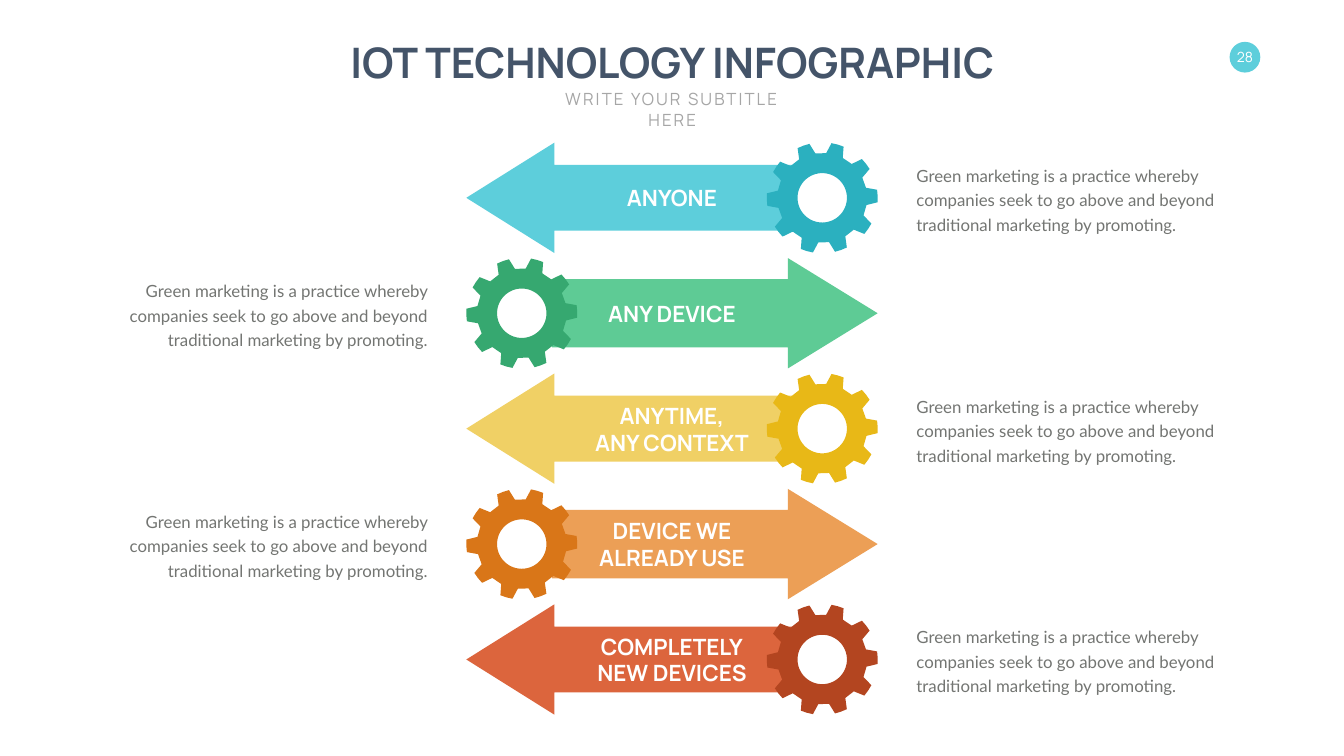
from math import cos, radians, sin

from pptx import Presentation
from pptx.dml.color import RGBColor
from pptx.enum.shapes import MSO_SHAPE as Shape
from pptx.enum.text import MSO_ANCHOR as Anchor, PP_ALIGN as Align
from pptx.util import Emu, Pt

PX = 9144  # EMU in one px, 100 px to the inch
SLIDE_W, SLIDE_H = 2666, 1500

# Rows of arrows
ROWS_LEFT, ROWS_TOP, ROW_PITCH = 925, 283, 229
ROW_W, ROW_H = 816, 219
ARROW_W = 646
NOTE_W, NOTE_H, NOTE_GAP = 639, 152, 67

# Gear profile
TEETH, OUTER_R, ROOT_R, HOLE_R = 10, 110, 89, 49
TOOTH_HALF, ROOT_HALF, GEAR_TURN = 6.5, 11.1, -1.85

NOTE = ("Green marketing is a practice whereby companies seek to go above "
        "and beyond traditional marketing by promoting.")
# Label lines, arrow colour, gear colour
ROWS = [
    ("ANYONE", "5DCEDB", "2BB0BF"),
    ("ANY DEVICE", "5ECB95", "36A870"),
    ("ANYTIME,\nANY CONTEXT", "F0D065", "E8B817"),
    ("DEVICE WE\nALREADY USE", "EC9F56", "D97618"),
    ("COMPLETELY\nNEW DEVICES", "DC653D", "B34520"),
]


def px(length):
    return Emu(round(length * PX))


def colour(hex_code):
    return RGBColor.from_string(hex_code)


def paint(shape, hex_code):
    shape.shadow.inherit = False
    shape.fill.solid()
    shape.fill.fore_color.rgb = colour(hex_code)
    shape.line.fill.background()


def add_preset(slide, kind, box, hex_code):
    preset = slide.shapes.add_shape(kind, *map(px, box))
    paint(preset, hex_code)
    return preset


def add_text(slide, box, text, size, hex_code, font="Manrope", bold=False,
             align=Align.CENTER, anchor=Anchor.MIDDLE, wrap=False):
    frame = slide.shapes.add_textbox(*map(px, box)).text_frame
    frame.word_wrap = wrap
    frame.vertical_anchor = anchor
    frame.text = text
    for paragraph in frame.paragraphs:
        paragraph.alignment = align
        for run in paragraph.runs:
            run.font.name = font
            run.font.size = Pt(size)
            run.font.bold = bold
            run.font.color.rgb = colour(hex_code)
    return frame


def add_gear(slide, centre_x, centre_y, hex_code):
    def point(radius, angle):
        turn = radians(angle)
        return (px(centre_x + radius * cos(turn)),
                px(centre_y + radius * sin(turn)))

    tooth = [(ROOT_R, -ROOT_HALF), (OUTER_R, -TOOTH_HALF), (OUTER_R, 0),
             (OUTER_R, TOOTH_HALF), (ROOT_R, ROOT_HALF)]
    rim = [point(radius, GEAR_TURN + index * 360 / TEETH + offset)
           for index in range(TEETH) for radius, offset in tooth]
    hole = [point(HOLE_R, -angle) for angle in range(0, 360, 5)]

    builder = slide.shapes.build_freeform(*rim[0], scale=1.0)
    builder.add_line_segments(rim[1:], close=True)
    builder.move_to(*hole[0])
    builder.add_line_segments(hole[1:], close=True)
    paint(builder.convert_to_shape(), hex_code)


def add_header(slide, left, top, width):
    add_text(slide, (left, top, width, 111), "IOT TECHNOLOGY INFOGRAPHIC",
             60, "445469", bold=True, anchor=Anchor.TOP)
    subtitle_w = 543
    subtitle = add_text(
        slide, (left + (width - subtitle_w) / 2, top + 105, subtitle_w, 50),
        "WRITE YOUR SUBTITLE HERE", 24, "A6A6A6", anchor=Anchor.TOP, wrap=True)
    # Letter spacing in hundredths of a point
    subtitle.paragraphs[0].runs[0].font._element.set("spc", "300")


def add_page_number(slide, left, top, size):
    box = (left, top, size, size)
    add_preset(slide, Shape.OVAL, box, "5DCEDB")
    add_text(slide, box, "28", 20, "FFFFFF")


def add_row(slide, left, top, label, arrow_colour, gear_colour, points_left):
    middle = top + ROW_H / 2
    # Arrow, with the gear on its tail and the note beyond the gear
    if points_left:
        kind, adjustments = Shape.LEFT_ARROW, (0.596, 0.798)
        arrow_left = left
        gear_x = left + ROW_W - OUTER_R
        note_left, note_align = left + ROW_W + NOTE_GAP, Align.LEFT
    else:
        kind, adjustments = Shape.RIGHT_ARROW, (0.62, 0.813)
        arrow_left = left + ROW_W - ARROW_W
        gear_x = left + OUTER_R
        note_left, note_align = left - NOTE_GAP - NOTE_W, Align.RIGHT
    arrow = add_preset(slide, kind, (arrow_left, top, ARROW_W, ROW_H),
                       arrow_colour)
    for index, value in enumerate(adjustments):
        arrow.adjustments[index] = value
    add_gear(slide, gear_x, middle, gear_colour)

    # Label and note
    label_w, label_h = 340, 118
    add_text(slide, (left + (ROW_W - label_w) / 2, middle - label_h / 2,
                     label_w, label_h), label, 32, "FFFFFF", bold=True)
    note = add_text(slide, (note_left, middle - NOTE_H / 2, NOTE_W, NOTE_H),
                    NOTE, 24, "737572", font="Lato", align=note_align,
                    wrap=True)
    note.paragraphs[0].line_spacing = Pt(35)


def main():
    deck = Presentation()
    deck.slide_width, deck.slide_height = px(SLIDE_W), px(SLIDE_H)
    slide = deck.slides.add_slide(deck.slide_layouts[6])

    add_page_number(slide, 2439, 83, 61)
    add_header(slide, 654, 67, 1359)
    for index, row in enumerate(ROWS):
        add_row(slide, ROWS_LEFT, ROWS_TOP + index * ROW_PITCH, *row,
                points_left=index % 2 == 0)
    deck.save("out.pptx")


if __name__ == "__main__":
    main()
